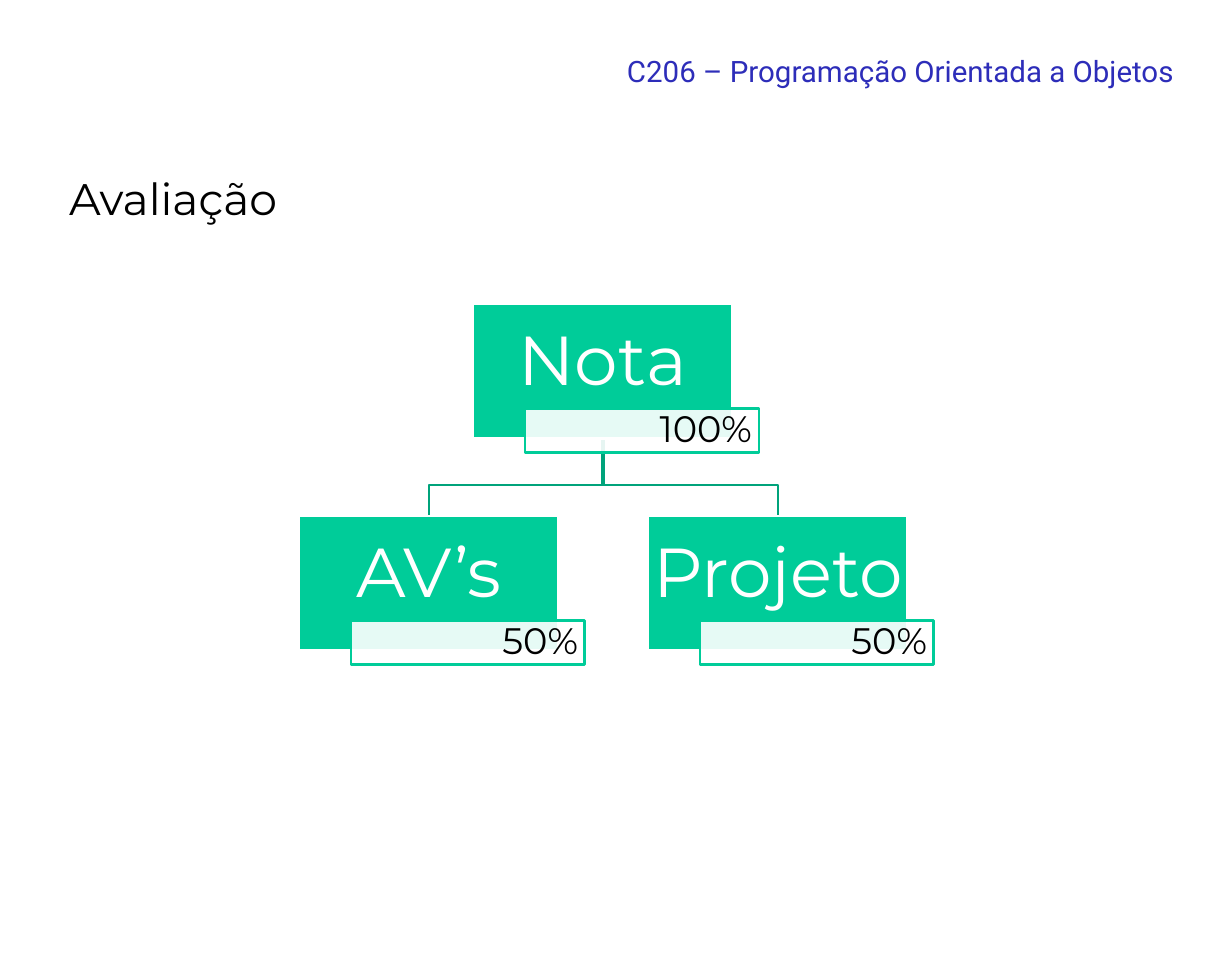
from lxml.etree import SubElement
from pptx import Presentation
from pptx.dml.color import RGBColor
from pptx.enum.shapes import MSO_SHAPE as Shape
from pptx.enum.text import MSO_ANCHOR as Anchor, PP_ALIGN as Align
from pptx.oxml.ns import qn
from pptx.util import Emu, Pt

PX = 914400 // 106
SLIDE_SIZE = (1232, 954)

COURSE = "C206 – Programação Orientada a Objetos"
HEADING = "Avaliação"
ROOT = ("Nota", "100%", 473, 304)
PARTS = [("AV’s", "50%", 299, 516), ("Projeto", "50%", 648, 516)]

CARD_W, CARD_H = 260, 135
TAG_DX, TAG_DY, TAG_W, TAG_H = 52, 105, 234, 44
GREEN, DARK_GREEN, BLUE = "00CC99", "00A37B", "2D2DB9"
WHITE, BLACK = "FFFFFF", "000000"


def px(n):
    return Emu(n * PX)


def color(hex_code):
    return RGBColor.from_string(hex_code)


def write(shape, text, size, font, ink, insets, align=Align.LEFT,
          anchor=Anchor.MIDDLE, spacing=None, wrap=True):
    frame = shape.text_frame
    frame.text = text
    frame.word_wrap = wrap
    frame.vertical_anchor = anchor
    (frame.margin_left, frame.margin_top,
     frame.margin_right, frame.margin_bottom) = map(px, insets)
    paragraph = frame.paragraphs[0]
    paragraph.alignment = align
    paragraph.line_spacing = spacing
    style = paragraph.runs[0].font
    style.size, style.name = Pt(size), font
    style.color.rgb = color(ink)


def add_label(slide, box, *args, **kwargs):
    write(slide.shapes.add_textbox(*map(px, box)), *args, **kwargs)


def outline(shape, ink):
    shape.shadow.inherit = False
    shape.line.color.rgb = color(ink)
    shape.line.width = Pt(2)


def add_box(slide, box, fill, line):
    shape = slide.shapes.add_shape(Shape.RECTANGLE, *map(px, box))
    shape.fill.solid()
    shape.fill.fore_color.rgb = color(fill)
    outline(shape, line)
    return shape


def add_branch(slide, parent, child):
    start_x, end_x = (node[2] + CARD_W // 2 for node in (parent, child))
    start_y, end_y = parent[3] + CARD_H, child[3]
    bend_y = start_y + 46
    builder = slide.shapes.build_freeform(start_x, start_y, scale=PX)
    builder.add_line_segments(
        [(start_x, bend_y), (end_x, bend_y), (end_x, end_y)], close=False)
    branch = builder.convert_to_shape()
    branch.fill.background()
    outline(branch, DARK_GREEN)


def add_node(slide, name, share, left, top):
    card = add_box(slide, (left, top, CARD_W, CARD_H), GREEN, WHITE)
    write(card, name, 47, "Montserrat", WHITE, (3, 3, 3, 19),
          Align.CENTER, spacing=0.9, wrap=False)
    tag = add_box(slide, (left + TAG_DX, top + TAG_DY, TAG_W, TAG_H),
                  WHITE, GREEN)
    tint = tag._element.spPr.find(qn("a:solidFill"))[0]
    SubElement(tint, qn("a:alpha"), val="90000")
    write(tag, share, 25, "Montserrat", BLACK, (7, 2, 7, 2),
          Align.RIGHT, spacing=0.9)


def main():
    deck = Presentation()
    deck.slide_width, deck.slide_height = map(px, SLIDE_SIZE)
    slide = deck.slides.add_slide(deck.slide_layouts[6])
    add_label(slide, (57, 167, 1117, 62), HEADING, 30, "Montserrat", BLACK,
              (12, 6, 12, 6))
    for part in reversed(PARTS):
        add_branch(slide, ROOT, part)
    for node in [ROOT, *PARTS]:
        add_node(slide, *node)
    add_label(slide, (616, 48, 611, 46), COURSE, 20, "Roboto", BLUE,
              (11, 5, 11, 5), anchor=Anchor.TOP)
    deck.save("out.pptx")


if __name__ == "__main__":
    main()
